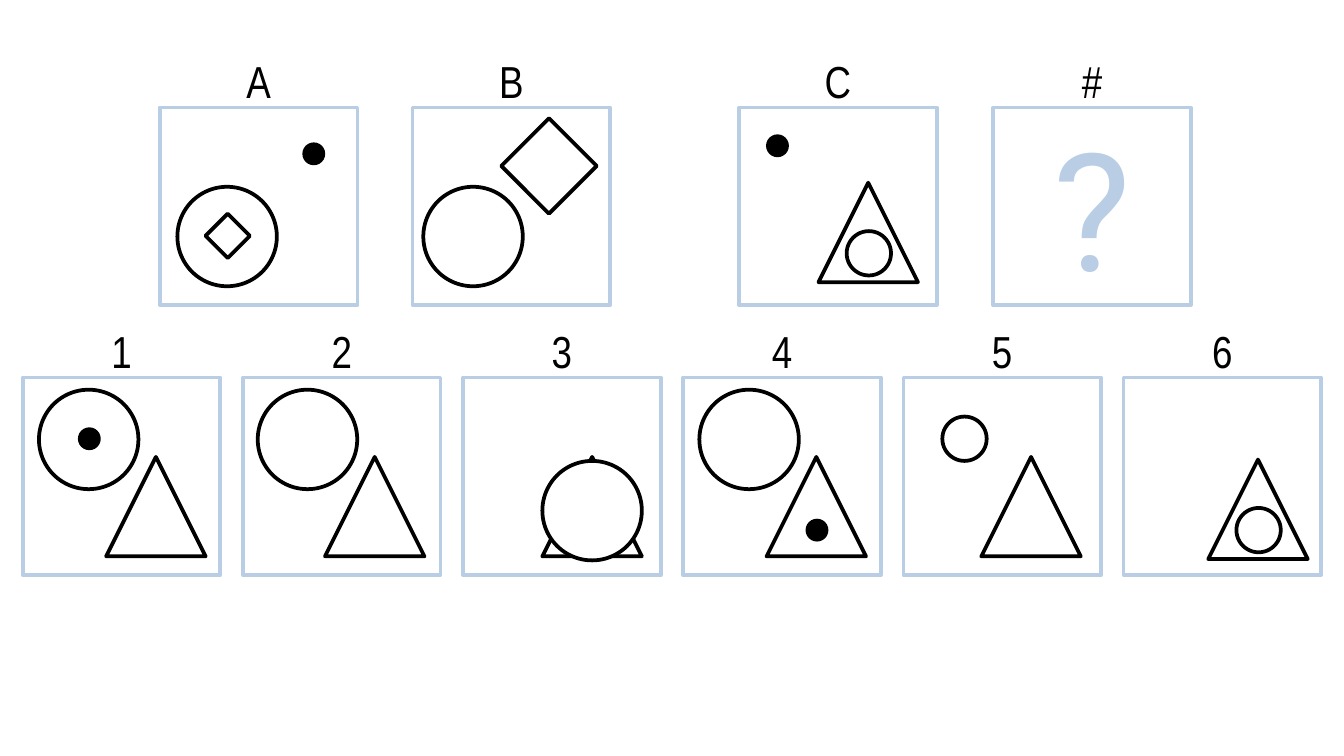
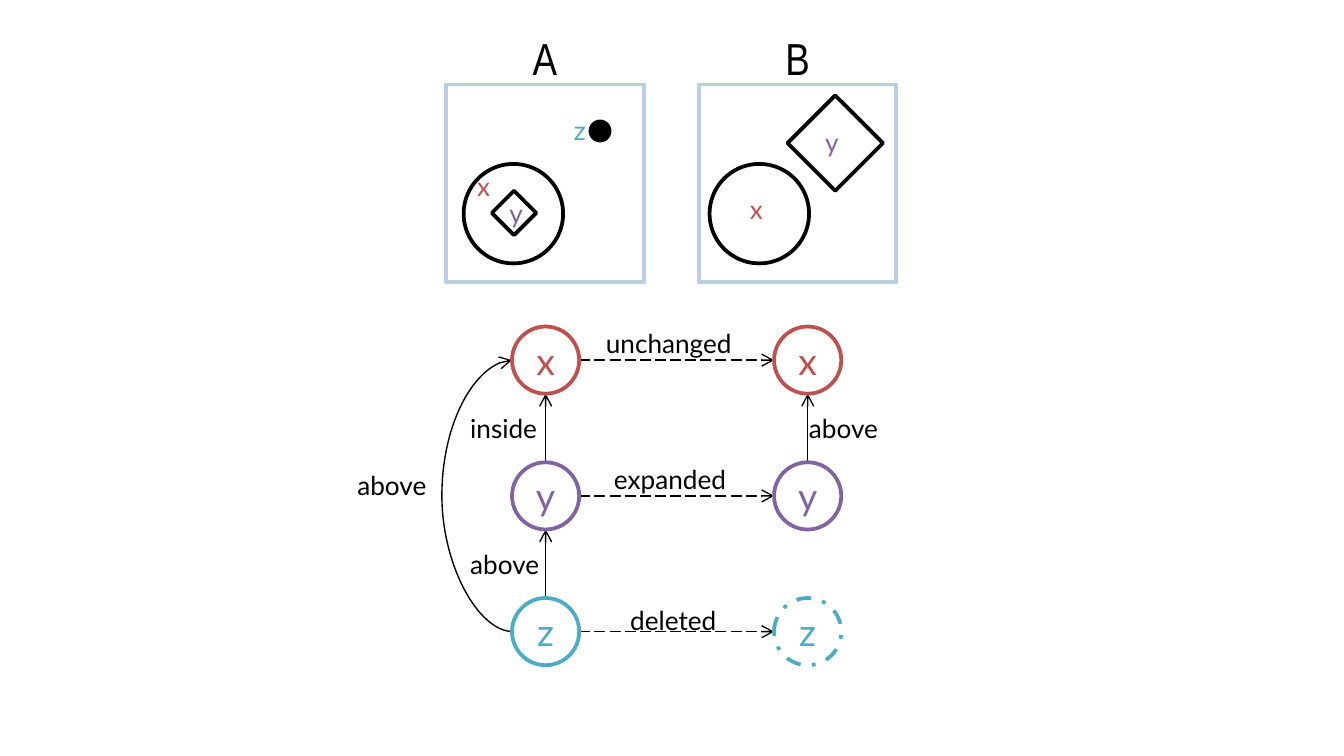
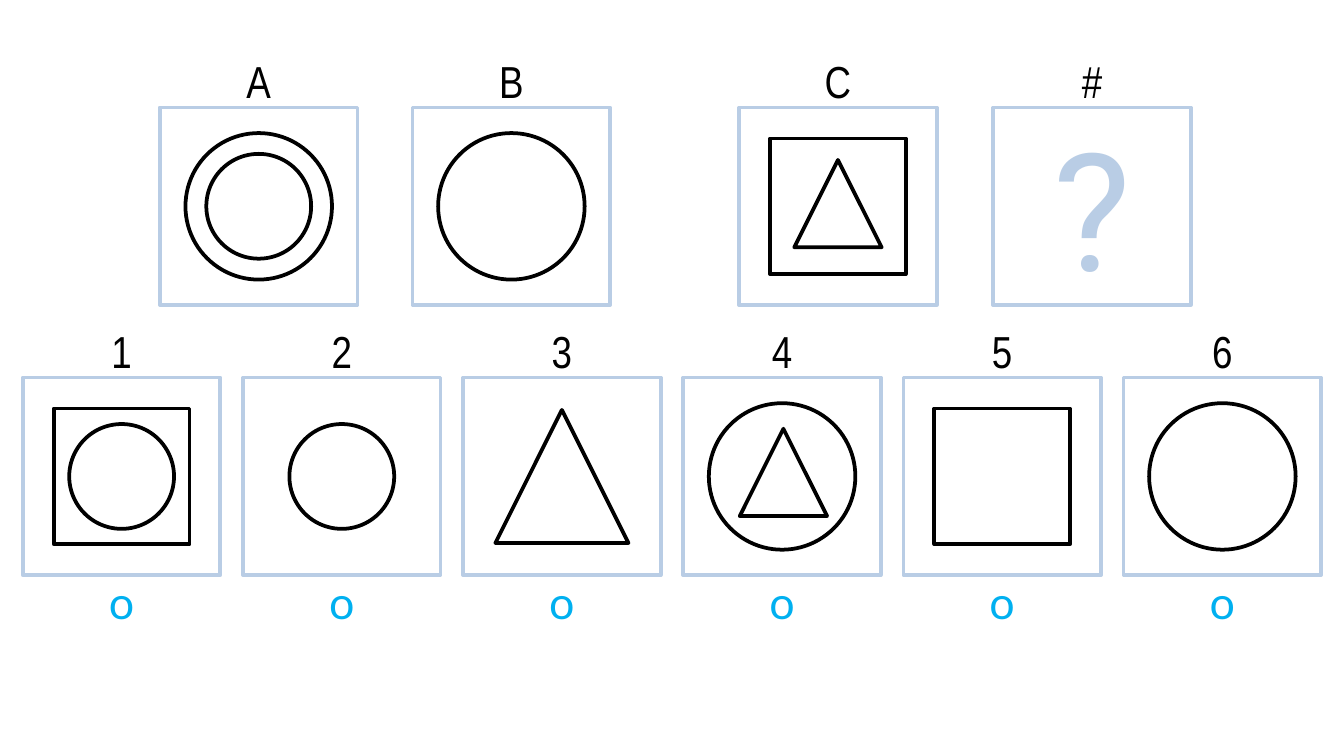
"""Builds three slides of visual analogy puzzles and their relation graph."""
from dataclasses import dataclass

from lxml import etree
from pptx import Presentation
from pptx.dml.color import RGBColor
from pptx.enum import dml, shapes, text
from pptx.oxml.ns import qn
from pptx.util import Inches, Pt


@dataclass(frozen=True)
class Theme:
    """Colours, fonts, type sizes and line widths of the deck."""
    ink: str = "000000"
    paper: str = "FFFFFF"
    frame: str = "B9CDE5"
    mark: str = "00B0F0"
    red: str = "C0504D"
    violet: str = "8064A2"
    teal: str = "4BACC6"
    head: str = "Arial Narrow"
    body: str = "Lato"
    quiz: str = "Roboto"
    small: int = 14
    node: int = 20
    label: int = 24
    huge: int = 88
    thick: float = 2
    thin: float = 0.75


T = Theme()
SIDE, CAP, NODE = 1.47, 0.4, 0.5
KIND = shapes.MSO_SHAPE
RING, GEM, TRI, BOX = KIND.OVAL, KIND.DIAMOND, KIND.ISOSCELES_TRIANGLE, KIND.RECTANGLE
DOT = "dot"
TINT = {"x": T.red, "y": T.violet, "z": T.teal}
TOP = dict(zip("ABC#", (1.19, 3.07, 5.5, 7.39)))
FIRST, LAST = 0.17, 8.36
LOW = {str(i + 1): FIRST + i * (LAST - FIRST) / 5 for i in range(6)}

MOVES = {
    "A": [(RING, 0.74, 0.13, 0.59), (GEM, 0.33, 0.34, 0.79), (DOT, 0.17, 1.06, 0.26)],
    "B": [(RING, 0.74, 0.08, 0.59), (GEM, 0.71, 0.66, 0.08)],
    "C": [(TRI, 0.74, 0.59, 0.56), (DOT, 0.17, 0.2, 0.2), (RING, 0.33, 0.8, 0.92)],
    "1": [(TRI, 0.74, 0.62, 0.59), (RING, 0.74, 0.12, 0.09), (DOT, 0.17, 0.41, 0.37)],
    "2": [(TRI, 0.74, 0.61, 0.59), (RING, 0.74, 0.11, 0.09)],
    "3": [(TRI, 0.74, 0.59, 0.59), (RING, 0.74, 0.59, 0.62)],
    "4": [(TRI, 0.74, 0.62, 0.59), (RING, 0.74, 0.12, 0.09), (DOT, 0.17, 0.91, 1.05)],
    "5": [(TRI, 0.74, 0.58, 0.59), (RING, 0.33, 0.29, 0.29)],
    "6": [(TRI, 0.74, 0.63, 0.61), (RING, 0.33, 0.84, 0.97)],
}
NESTS = {
    "A": [(RING, 1.09), (RING, 0.78)],
    "B": [(RING, 1.09)],
    "C": [(BOX, 1.01), (TRI, 0.65, 0.41, 0.39)],
    "1": [(BOX, 1.01), (RING, 0.78)],
    "2": [(RING, 0.78)],
    "3": [(TRI, 0.99)],
    "4": [(RING, 1.09), (TRI, 0.65, 0.42, 0.38)],
    "5": [(BOX, 1.01)],
    "6": [(RING, 1.09)],
}


def ink(hue):
    """Return the colour object for a hex string."""
    return RGBColor.from_string(hue)


def write(frame, words, size, font, hue, align=text.PP_ALIGN.CENTER, inset=0):
    """Put one line of styled text in a text frame."""
    if inset is not None:
        frame.margin_left = frame.margin_right = Inches(inset)
        frame.margin_top = frame.margin_bottom = Inches(inset / 2)
    para = frame.paragraphs[0]
    para.text, para.alignment = words, align
    para.font.size, para.font.name = Pt(size), font
    para.font.color.rgb = ink(hue)


def shape(slide, kind, x, y, side, fill=T.paper, line=T.ink, dash=None):
    """Draw a square-bounded shape; None leaves out fill or line."""
    item = slide.shapes.add_shape(kind, *map(Inches, (x, y, side, side)))
    item.shadow.inherit = False
    if fill:
        item.fill.solid()
        item.fill.fore_color.rgb = ink(fill)
    else:
        item.fill.background()
    if line:
        item.line.color.rgb, item.line.width = ink(line), Pt(T.thick)
        if dash:
            item.line.dash_style = dash
    else:
        item.line.fill.background()
    return item


def caption(slide, x, y, words, font=T.head, hue=T.ink):
    """Centre a label in a strip as wide as a panel."""
    frame = slide.shapes.add_textbox(*map(Inches, (x, y, SIDE, CAP))).text_frame
    frame.word_wrap = True
    frame.auto_size = text.MSO_AUTO_SIZE.SHAPE_TO_FIT_TEXT
    frame.vertical_anchor = text.MSO_ANCHOR.BOTTOM
    write(frame, words, T.label, font, hue)


def note(slide, x, y, wide, words, hue=T.ink, inset=0.1):
    """Place a small unwrapped word."""
    tall = 0.24 + inset
    frame = slide.shapes.add_textbox(*map(Inches, (x, y, wide, tall))).text_frame
    frame.word_wrap = False
    frame.auto_size = text.MSO_AUTO_SIZE.SHAPE_TO_FIT_TEXT
    write(frame, words, T.small, T.body, hue, text.PP_ALIGN.LEFT, inset)


def panel(slide, x, y, name, parts):
    """Draw a framed panel with its label and figures, or a question mark."""
    frame = shape(slide, BOX, x, y, SIDE, None, T.frame)
    if not parts:
        frame.text_frame.vertical_anchor = text.MSO_ANCHOR.MIDDLE
        write(frame.text_frame, "?", T.huge, T.quiz, T.frame, inset=None)
    for kind, side, *spot in parts:
        left, top = spot or [(SIDE - side) / 2] * 2
        if kind == DOT:
            shape(slide, RING, x + left, y + top, side, T.ink, None)
        else:
            shape(slide, kind, x + left, y + top, side)
    caption(slide, x, y - CAP, name)


def arrow(slide, start, end, dash=None, bend=None):
    """Draw an arrow, curved by a multiple of its width when bend is given."""
    kind = shapes.MSO_CONNECTOR.CURVE if bend else shapes.MSO_CONNECTOR.STRAIGHT
    link = slide.shapes.add_connector(kind, *map(Inches, (*start, *end)))
    link.line.color.rgb, link.line.width = ink(T.ink), Pt(T.thin)
    if dash:
        link.line.dash_style = dash
    props = link._element.spPr
    etree.SubElement(props.find(qn("a:ln")), qn("a:tailEnd"), type="arrow")
    etree.SubElement(props, qn("a:effectLst"))
    if bend:
        geom = props.find(qn("a:prstGeom"))
        guides = geom.find(qn("a:avLst"))
        if guides is None:
            guides = etree.SubElement(geom, qn("a:avLst"))
        etree.SubElement(guides, qn("a:gd"), name="adj1", fmla=f"val {bend * 100000}")


def node(slide, x, y, name, dash=None):
    """Draw a lettered graph node."""
    item = shape(slide, RING, x, y, NODE, line=TINT[name], dash=dash)
    item.text_frame.vertical_anchor = text.MSO_ANCHOR.MIDDLE
    write(item.text_frame, name, T.node, T.body, TINT[name])


def graph(slide, x, y):
    """Draw the relation graph with its top left node at x, y."""
    wide, step, half = 1.95, 1.01, NODE / 2
    right = x + wide
    arrow(slide, (x + 0.01, y + 2 * step + half), (x, y + half), bend=54)
    for left, row in ((x, 0), (x, 1), (right, 0)):
        arrow(slide, (left + half, y + (row + 1) * step),
              (left + half, y + row * step + NODE))
    for row, name in enumerate("xyz"):
        top = y + row * step
        arrow(slide, (x + NODE, top + half), (right, top + half),
              dml.MSO_LINE.LONG_DASH)
        node(slide, x, top, name)
        node(slide, right, top, name, dml.MSO_LINE.DASH_DOT if name == "z" else None)
    for left, top, size, words in (
            (-0.41, 0.59, 0.76, "inside"), (-0.41, 1.6, 0.75, "above"),
            (-1.25, 1.01, 0.75, "above"), (2.11, 0.59, 0.75, "above"),
            (0.6, -0.04, 1.26, "unchanged"), (0.66, 0.97, 1.14, "expanded"),
            (0.78, 2.02, 0.92, "deleted")):
        note(slide, x + left, y + top, size, words)


def puzzle(slide, parts, mark=None):
    """Lay out the question row and the answer row."""
    for row, y in ((TOP, 0.8), (LOW, 2.81)):
        for name, x in row.items():
            panel(slide, x, y, name, parts.get(name, []))
    if mark:
        for x in LOW.values():
            caption(slide, x, 2.81 + SIDE, mark, T.body, T.mark)


def relate(slide):
    """Lay out the lettered pair of panels over its graph."""
    tags = {
        "A": (3.32, [("x", 0.23, 0.64), ("y", 0.47, 0.84), ("z", 0.95, 0.22)]),
        "B": (5.2, [("x", 0.38, 0.81), ("y", 0.94, 0.31)]),
    }
    y = 0.63
    for name, (x, letters) in tags.items():
        panel(slide, x, y, name, MOVES[name])
        for letter, left, top in letters:
            note(slide, x + left, y + top, 0.11, letter, TINT[letter], 0)
    graph(slide, 3.81, 2.43)


def main():
    """Build and save the deck."""
    deck = Presentation()
    deck.slide_width = Inches(10)
    deck.slide_height = Inches(10 * 9 / 16)
    first, second, third = (deck.slides.add_slide(deck.slide_layouts[6])
                            for _ in range(3))
    puzzle(first, MOVES)
    relate(second)
    puzzle(third, NESTS, "ο")
    deck.save("out.pptx")


if __name__ == "__main__":
    main()
